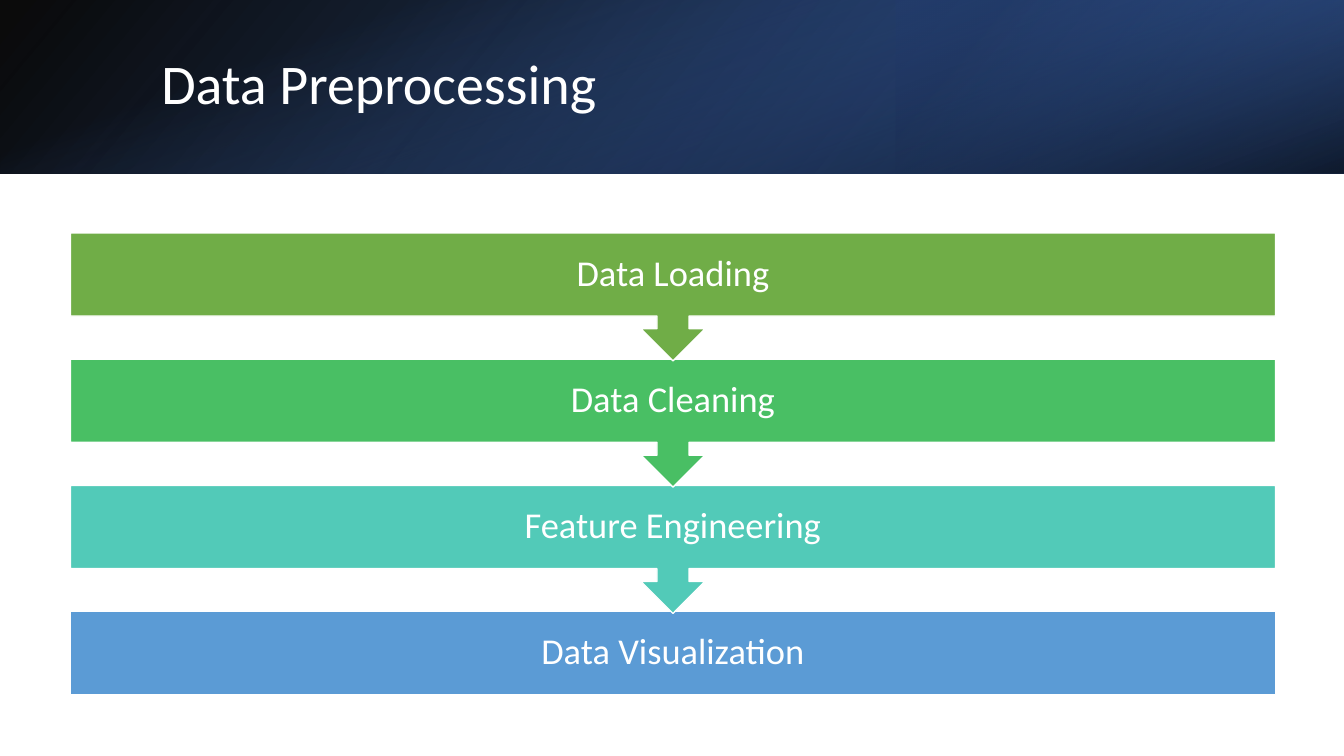
import lxml.etree
import pptx
import pptx.dml.color
import pptx.enum.shapes
import pptx.enum.text
import pptx.oxml.ns
import pptx.util

WIDE = pptx.util.Inches(13.33)
HIGH = pptx.util.Inches(7.5)
KINDS = pptx.enum.shapes.MSO_SHAPE
ALIGN = pptx.enum.text.PP_ALIGN
WHITE = "FFFFFF"
BAND = 22.93
LEFT, SPAN = 5.25, 89.65
TOP, PITCH = 30.8, 16.71
BOX, CALL = 10.93, 16.93
STEPS = [
    ("Data Loading", "70AD47"),
    ("Data Cleaning", "49BF64"),
    ("Feature Engineering", "52CAB8"),
    ("Data Visualization", "5B9BD5"),
]


def color(code):
    return pptx.dml.color.RGBColor.from_string(code)


def frame(left, top, width, height):
    return (int(WIDE * left / 100), int(HIGH * top / 100),
            int(WIDE * width / 100), int(HIGH * height / 100))


def shape(slide, kind, area):
    item = slide.shapes.add_shape(kind, *frame(*area))
    item.shadow.inherit = False
    return item


def write(item, text, size, align):
    box = item.text_frame
    box.word_wrap = True
    box.auto_size = pptx.enum.text.MSO_AUTO_SIZE.NONE
    box.vertical_anchor = pptx.enum.text.MSO_ANCHOR.MIDDLE
    line = box.paragraphs[0]
    line.alignment = align
    line.line_spacing = 0.9
    run = line.add_run()
    run.text = text
    run.font.name = "Calibri"
    run.font.size = pptx.util.Pt(size)
    run.font.color.rgb = color(WHITE)


def shade(slide, area, stops, angle, turn=0, flip=False):
    item = shape(slide, KINDS.RECTANGLE, area)
    item.rotation = turn
    item.line.fill.background()
    item.fill.gradient()
    item.fill.gradient_angle = 360 - angle
    for stop, (spot, code, _) in zip(item.fill.gradient_stops, stops):
        stop.position = spot / 100
        stop.color.rgb = color(code)
    props = item._element.spPr
    tag = pptx.oxml.ns.qn
    for node, (_, _, alpha) in zip(props.iter(tag("a:srgbClr")), stops):
        lxml.etree.SubElement(node, tag("a:alpha")).set("val", str(alpha * 1000))
    if flip:
        props.find(tag("a:xfrm")).set("flipH", "1")


def banner(slide):
    shade(slide, (0, 0, 100, BAND),
          [(0, "000000", 96), (100, "2F5597", 100)], 140, flip=True)
    shade(slide, (66.67, 0, 33.33, BAND),
          [(19, "203864", 68), (100, "4472C4", 79)], 320, turn=180, flip=True)
    ratio = WIDE / HIGH
    thick, long = BAND / ratio, 100 * ratio
    shade(slide, (50 - thick / 2, (BAND - long) / 2, thick, long),
          [(23, "4472C4", 0), (99, "000000", 74)], 340, turn=90)


def head(slide, text):
    title = slide.shapes.title
    slide.shapes._spTree.append(title._element)
    title.left, title.top, title.width, title.height = frame(11.25, 5.07, 82.37, 12.8)
    write(title, text, 40, ALIGN.LEFT)


def step(slide, row, text, code):
    last = row == len(STEPS) - 1
    kind = KINDS.RECTANGLE if last else KINDS.DOWN_ARROW_CALLOUT
    item = shape(slide, kind, (LEFT, TOP + row * PITCH, SPAN, BOX if last else CALL))
    if not last:
        item.adjustments[3] = 0.65
    item.fill.solid()
    item.fill.fore_color.rgb = color(code)
    item.line.color.rgb = color(WHITE)
    item.line.width = pptx.util.Pt(1)
    box = item.text_frame
    box.margin_left = box.margin_right = pptx.util.Inches(0.2)
    box.margin_top = box.margin_bottom = pptx.util.Inches(0.2)
    write(item, text, 26, ALIGN.CENTER)


def main():
    deck = pptx.Presentation()
    deck.slide_width, deck.slide_height = WIDE, HIGH
    slide = deck.slides.add_slide(deck.slide_layouts[5])
    banner(slide)
    head(slide, "Data Preprocessing")
    for row, (text, code) in reversed(list(enumerate(STEPS))):
        step(slide, row, text, code)
    deck.save("out.pptx")


if __name__ == "__main__":
    main()
